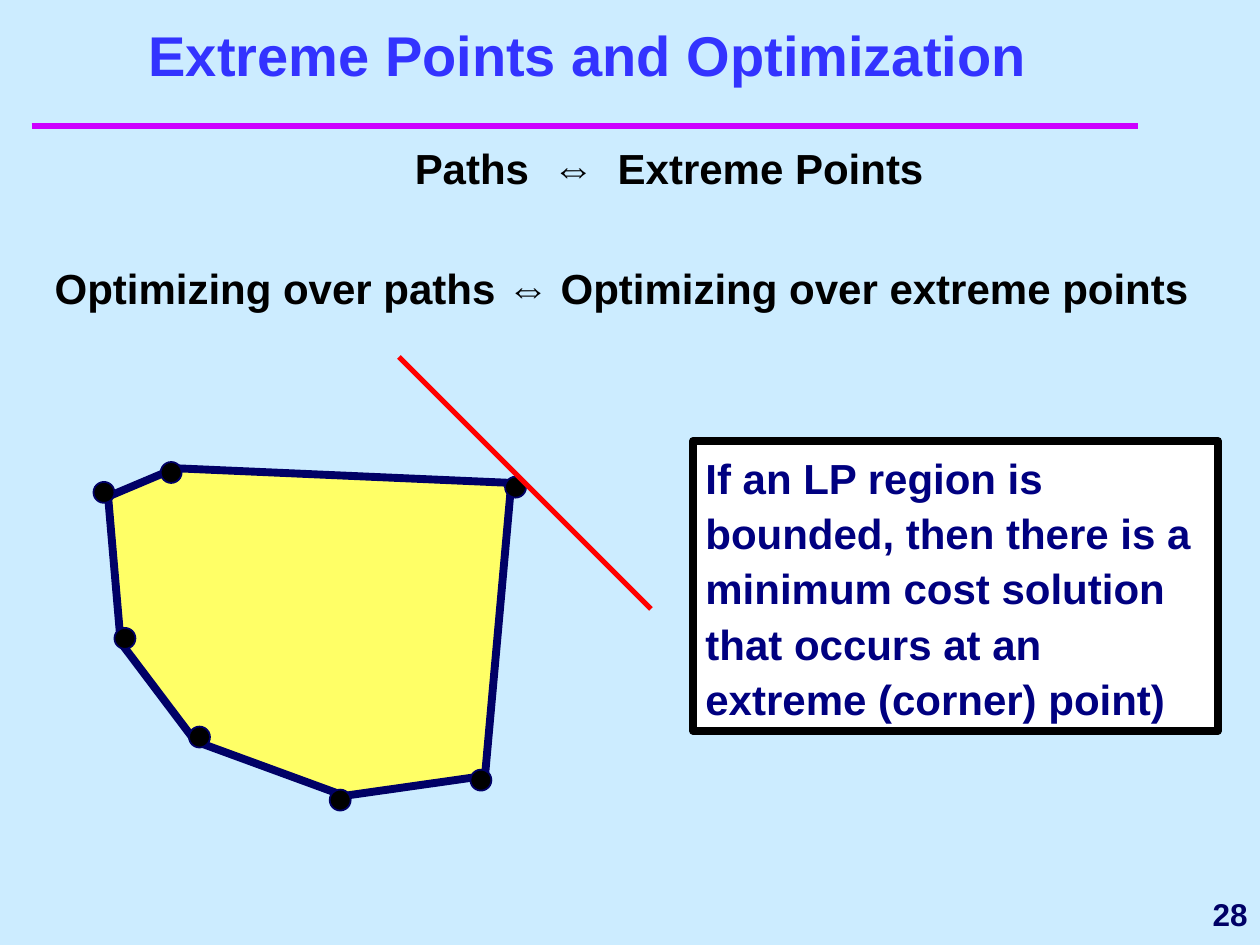
from dataclasses import dataclass

from lxml import etree
from pptx import Presentation
from pptx import util as u
from pptx.dml.color import RGBColor
from pptx.enum import shapes, text
from pptx.oxml.ns import qn


@dataclass(frozen=True)
class Theme:
    font: str = "Arial"
    back: str = "CCECFF"
    title: str = "3333FF"
    rule: str = "CC00FF"
    ink: str = "000000"
    navy: str = "000066"
    note: str = "000080"
    paper: str = "FFFFFF"
    region: str = "FFFF66"
    cost: str = "FF0000"
    title_size: int = 32
    body_size: int = 24
    number_size: int = 18


def grid(n):
    """Length of n cells; the slide is 120 columns by 90 rows."""
    return u.Inches(n / 12)


def rgb(value):
    return RGBColor.from_string(value)


class Deck:
    def __init__(self, theme):
        self.theme = theme
        self.prs = Presentation()
        self.prs.slide_width, self.prs.slide_height = grid(120), grid(90)
        self.s = None

    def add_slide(self):
        self.s = self.prs.slides.add_slide(self.prs.slide_layouts[1])
        fill = self.s.background.fill
        fill.solid()
        fill.fore_color.rgb = rgb(self.theme.back)

    def place(self, sp, box):
        sp.left, sp.top, sp.width, sp.height = map(grid, box)

    def paint(self, sp, fill, line, width):
        sp.shadow.inherit = False
        sp.fill.solid()
        sp.fill.fore_color.rgb = rgb(fill)
        sp.line.color.rgb = rgb(line)
        sp.line.width = u.Pt(width)

    def frame(self, sp, anchor):
        tf = sp.text_frame
        tf.word_wrap = True
        tf.auto_size = text.MSO_AUTO_SIZE.NONE
        tf.vertical_anchor = anchor
        return tf

    def add_words(self, p, words, size, color, align=text.PP_ALIGN.LEFT, before=0, spacing=1.0):
        p.alignment = align
        p.space_before = u.Pt(before)
        p.line_spacing = spacing
        r = p.add_run()
        r.text = words
        r.font.name, r.font.size, r.font.bold = self.theme.font, u.Pt(size), True
        r.font.color.rgb = rgb(color)

    def title(self, words, box):
        sp = self.s.shapes.title
        self.place(sp, box)
        tf = self.frame(sp, text.MSO_ANCHOR.BOTTOM)
        self.add_words(tf.paragraphs[0], words, self.theme.title_size, self.theme.title,
                       text.PP_ALIGN.CENTER)

    def body(self, items, box):
        """Items are (words, left margin in columns, points before)."""
        sp = self.s.placeholders[1]
        self.place(sp, box)
        tf = self.frame(sp, text.MSO_ANCHOR.TOP)
        for i, (words, margin, before) in enumerate(items):
            p = tf.add_paragraph() if i else tf.paragraphs[0]
            self.add_words(p, words, self.theme.body_size, self.theme.ink, before=before)
            pPr = p._p.get_or_add_pPr()
            pPr.set("marL", str(int(grid(margin))))
            pPr.set("indent", "0")
            etree.SubElement(pPr, qn("a:buNone"))

    def number(self, words, box):
        sp = self.s.shapes.add_textbox(*map(grid, box))
        tf = self.frame(sp, text.MSO_ANCHOR.MIDDLE)
        self.add_words(tf.paragraphs[0], words, self.theme.number_size, self.theme.navy,
                       text.PP_ALIGN.RIGHT)

    def note(self, words, box):
        sp = self.s.shapes.add_shape(shapes.MSO_SHAPE.RECTANGLE, *map(grid, box))
        self.paint(sp, self.theme.paper, self.theme.ink, 4.5)
        tf = self.frame(sp, text.MSO_ANCHOR.TOP)
        self.add_words(tf.paragraphs[0], words, self.theme.body_size, self.theme.note,
                       before=4.5, spacing=1.1)

    def line(self, start, end, color, width):
        sp = self.s.shapes.add_connector(shapes.MSO_CONNECTOR.STRAIGHT,
                                         *map(grid, start + end))
        sp.line.color.rgb = rgb(color)
        sp.line.width = u.Pt(width)
        etree.SubElement(sp._element.spPr, qn("a:effectLst"))

    def region(self, corners, dot=2, nudge=0.4):
        """Corners are (column, row, x direction, y direction of the dot's nudge)."""
        group = self.s.shapes.add_group_shape().shapes
        points = [(grid(x), grid(y)) for x, y, _, _ in corners]
        outline = group.build_freeform(*points[0])
        outline.add_line_segments(points[1:], close=True)
        self.paint(outline.convert_to_shape(), self.theme.region, self.theme.navy, 4.5)
        for x, y, dx, dy in corners:
            left, top = x + dx * nudge - dot / 2, y + dy * nudge - dot / 2
            sp = group.add_shape(shapes.MSO_SHAPE.OVAL, *map(grid, (left, top, dot, dot)))
            self.paint(sp, self.theme.ink, self.theme.navy, 1)


def main():
    theme = Theme()
    deck = Deck(theme)
    deck.add_slide()

    # Heading
    deck.line((3, 12), (108.4, 12), theme.rule, 4)
    deck.title("Extreme Points and Optimization", (5, 2, 102, 7))

    # Equivalences
    deck.body([
        ("Paths  ⇔  Extreme Points", 34.3, 6),
        ("Optimizing over paths ⇔ Optimizing over extreme points", 0, 39.6),
    ], (4, 13, 112, 22))
    deck.number("28", (101, 84, 19, 6))

    # Feasible region with its extreme points
    deck.region([
        (10.3, 47.3, -1, -1),
        (16.7, 44.6, -1, 1),
        (48.7, 46, 1, 1),
        (46.2, 73.9, -1, 1),
        (32.8, 75.8, -1, 1),
        (18.6, 70.6, 1, -1),
        (11.5, 61.2, 1, -1),
    ])

    # Conclusion and cost line
    deck.note("If an LP region is bounded, then there is a minimum cost solution "
              "that occurs at an extreme (corner) point)", (66, 42, 50, 27.6))
    deck.line((38, 34), (62, 58), theme.cost, 3)

    deck.prs.save("out.pptx")


if __name__ == "__main__":
    main()
